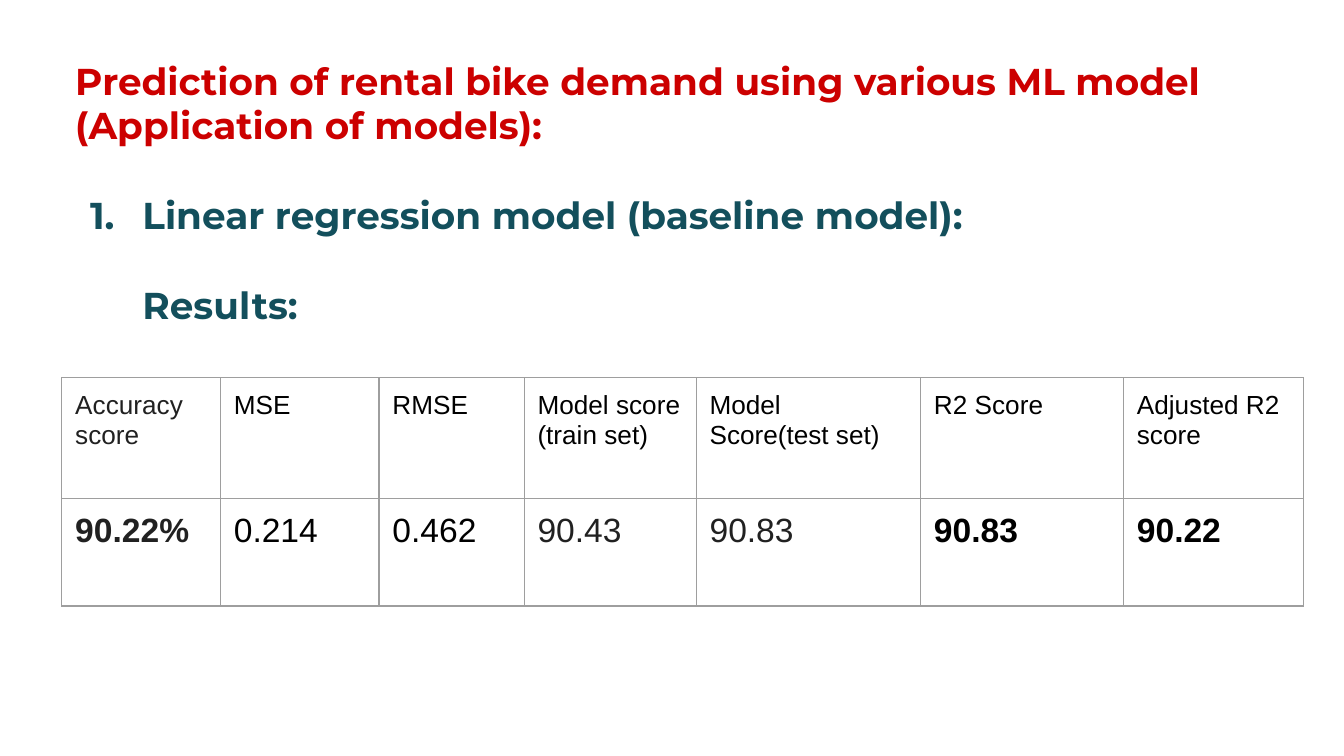
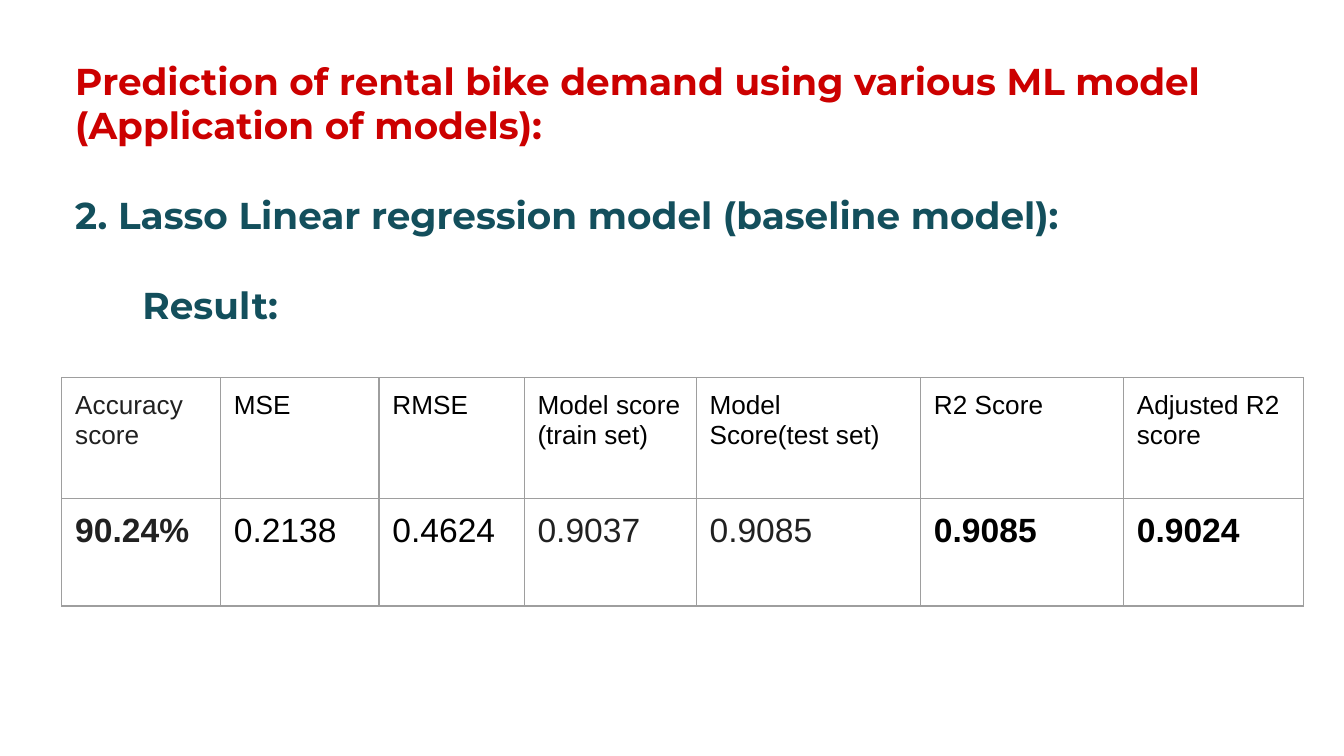
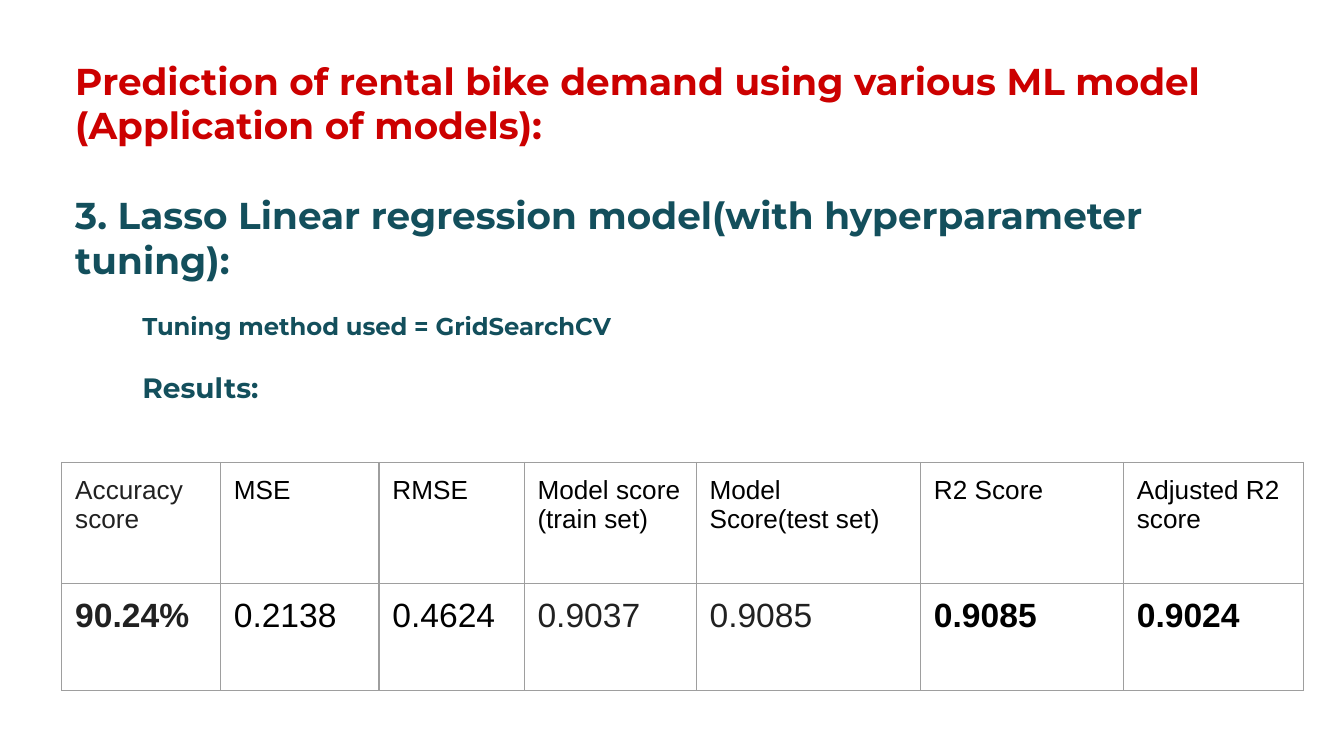
import dataclasses

import lxml.etree
import pptx
import pptx.dml.color
import pptx.enum.text
import pptx.oxml.ns
import pptx.util

Inches = pptx.util.Inches
Pt = pptx.util.Pt
qn = pptx.oxml.ns.qn


@dataclasses.dataclass(frozen=True)
class Theme:
    head_font: str = "Montserrat"
    cell_font: str = "Arial"
    red: str = "CC0000"
    teal: str = "134F5C"
    black: str = "000000"
    grey: str = "212121"
    rule: str = "9E9E9E"
    rule_width: float = 0.75
    large: int = 20
    mid: int = 15
    small: int = 13
    label: int = 14
    value: int = 18
    leading: float = 1.21


@dataclasses.dataclass(frozen=True)
class Line:
    """One paragraph; gap is the type size of the empty line above it."""
    text: str
    size: int
    gap: int = 0
    color: str = Theme.teal
    indent: float = 0
    hang: float = 0
    number: bool = False


@dataclasses.dataclass(frozen=True)
class Column:
    label: str
    width: float
    label_ink: str = Theme.black
    value_ink: str = Theme.black
    bold: bool = False


@dataclasses.dataclass(frozen=True)
class Model:
    lines: tuple[Line, ...]
    values: tuple[str, ...]
    table_top: float


THEME = Theme()
WIDTH = Inches(10)
HEIGHT = WIDTH * 9 // 16
LEFT = 0.46
INSET = 0.1
INDENT = 0.5
ROWS = (0.9, 0.8)
HEADING = Line(
    "Prediction of rental bike demand using various ML model (Application of models):",
    THEME.large, color=THEME.red)
COLUMNS = (
    Column("Accuracy score", 1.18, THEME.grey, THEME.grey, True),
    Column("MSE", 1.18),
    Column("RMSE", 1.08),
    Column("Model score\n(train set)", 1.28, value_ink=THEME.grey),
    Column("Model Score(test set)", 1.67, value_ink=THEME.grey),
    Column("R2 Score", 1.51, bold=True),
    Column("Adjusted R2 score", 1.34, bold=True),
)
LASSO = ("90.24%", "0.2138", "0.4624", "0.9037", "0.9085", "0.9085", "0.9024")
MODELS = (
    Model((Line("Linear regression model (baseline model):", THEME.large, THEME.large,
                indent=INDENT, hang=0.39, number=True),
           Line("Results:", THEME.large, THEME.large, indent=INDENT)),
          ("90.22%", "0.214", "0.462", "90.43", "90.83", "90.83", "90.22"), 2.81),
    Model((Line("2. Lasso Linear regression model (baseline model):",
                THEME.large, THEME.large),
           Line("Result:", THEME.large, THEME.large, indent=INDENT)),
          LASSO, 2.81),
    Model((Line("3. Lasso Linear regression model(with hyperparameter tuning):",
                THEME.large, THEME.large),
           Line("Tuning method used = GridSearchCV", THEME.small, THEME.small,
                indent=INDENT),
           Line("Results:", THEME.mid, THEME.small, indent=INDENT)),
          LASSO, 3.44),
)


def style(para, font: str, size: int, color: str, bold: bool) -> None:
    para.alignment = pptx.enum.text.PP_ALIGN.LEFT
    for run in para.runs:
        run.font.name = font
        run.font.size = Pt(size)
        run.font.bold = bold
        run.font.color.rgb = pptx.dml.color.RGBColor.from_string(color)


def add_color(parent, color: str) -> None:
    lxml.etree.SubElement(parent, qn("a:srgbClr"), val=color)


def add_line(para, line: Line) -> None:
    para.text = line.text
    style(para, THEME.head_font, line.size, line.color, True)
    para.line_spacing = 1.0
    para.space_before = Pt(line.gap * THEME.leading)
    props = para._p.get_or_add_pPr()
    props.set("marL", str(Inches(line.indent)))
    props.set("indent", str(Inches(-line.hang)))
    if line.number:
        add_color(lxml.etree.SubElement(props, qn("a:buClr")), line.color)
        lxml.etree.SubElement(props, qn("a:buFont"), typeface=THEME.head_font)
        lxml.etree.SubElement(props, qn("a:buAutoNum"), type="arabicPeriod")


def add_title(slide, lines: tuple[Line, ...]) -> None:
    title = slide.shapes.title
    title.left, title.top = Inches(LEFT), Inches(0.33)
    title.width, title.height = Inches(8.88), Inches(5.03)
    frame = title.text_frame
    frame.word_wrap = True
    frame.auto_size = pptx.enum.text.MSO_AUTO_SIZE.NONE
    frame.vertical_anchor = pptx.enum.text.MSO_ANCHOR.TOP
    frame.margin_left = frame.margin_right = Inches(INSET)
    frame.margin_top = frame.margin_bottom = Inches(INSET)
    for i, line in enumerate(lines):
        add_line(frame.add_paragraph() if i else frame.paragraphs[0], line)


def add_rules(cell) -> None:
    """Draw the four borders of a cell."""
    props = cell._tc.get_or_add_tcPr()
    for i, side in enumerate(("a:lnL", "a:lnR", "a:lnT", "a:lnB")):
        edge = lxml.etree.Element(qn(side), w=str(Pt(THEME.rule_width)))
        add_color(lxml.etree.SubElement(edge, qn("a:solidFill")), THEME.rule)
        props.insert(i, edge)


def fill_cell(cell, text: str, size: int, color: str, bold: bool) -> None:
    cell.text_frame.text = text
    cell.margin_left = cell.margin_right = Inches(INSET)
    cell.margin_top = cell.margin_bottom = Inches(INSET)
    cell.vertical_anchor = pptx.enum.text.MSO_ANCHOR.TOP
    cell.fill.background()
    add_rules(cell)
    for para in cell.text_frame.paragraphs:
        style(para, THEME.cell_font, size, color, bold)


def add_scores(slide, values: tuple[str, ...], top: float) -> None:
    width = sum(col.width for col in COLUMNS)
    table = slide.shapes.add_table(
        len(ROWS), len(COLUMNS), Inches(LEFT), Inches(top),
        Inches(width), Inches(sum(ROWS))).table
    table.first_row = table.horz_banding = False
    for row, height in zip(table.rows, ROWS):
        row.height = Inches(height)
    for i, (col, value) in enumerate(zip(COLUMNS, values)):
        table.columns[i].width = Inches(col.width)
        fill_cell(table.cell(0, i), col.label, THEME.label, col.label_ink, False)
        fill_cell(table.cell(1, i), value, THEME.value, col.value_ink, col.bold)


def main() -> None:
    deck = pptx.Presentation()
    deck.slide_width, deck.slide_height = WIDTH, HEIGHT
    layout = deck.slide_layouts.get_by_name("Title Only")
    for model in MODELS:
        slide = deck.slides.add_slide(layout)
        add_title(slide, (HEADING, *model.lines))
        add_scores(slide, model.values, model.table_top)
    deck.save("out.pptx")


if __name__ == "__main__":
    main()
